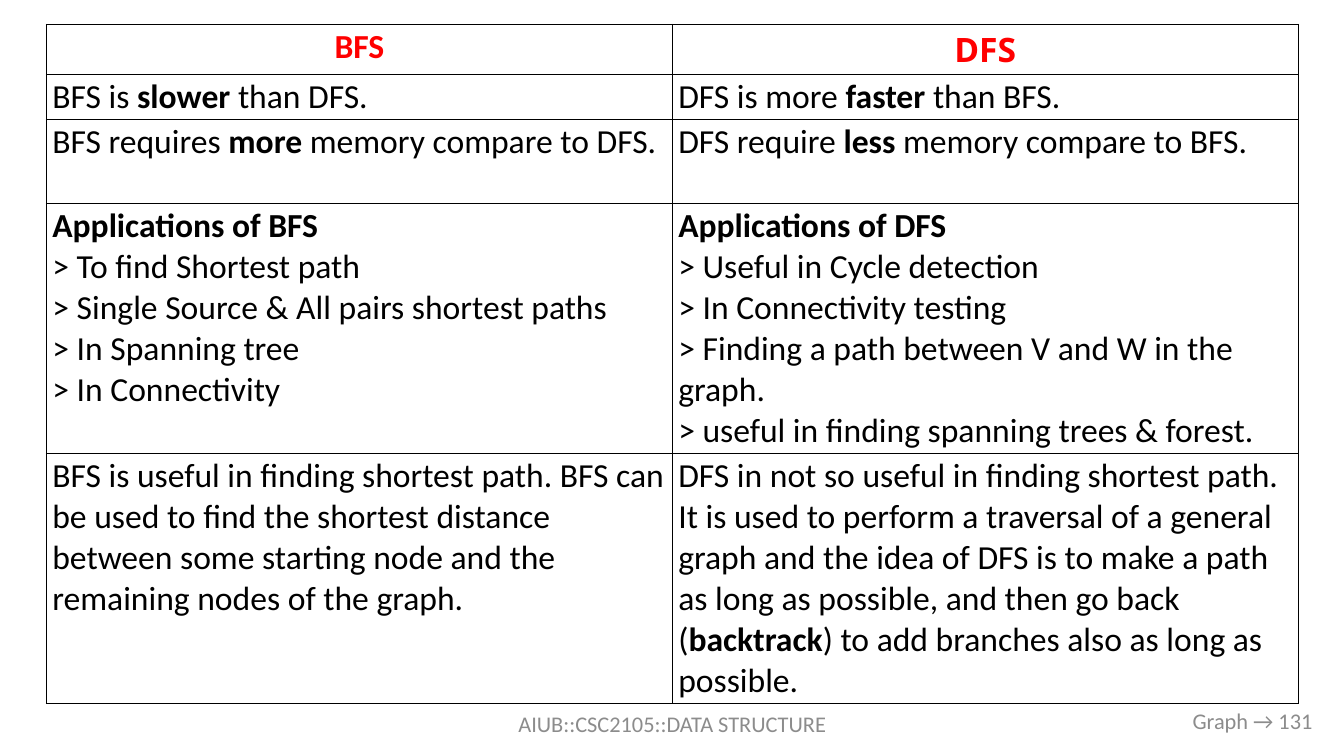
from lxml import etree
from pptx import Presentation
from pptx.dml.color import RGBColor
from pptx.enum.text import MSO_ANCHOR, PP_ALIGN
from pptx.oxml.ns import qn
from pptx.util import Pt

CENTER, RIGHT = PP_ALIGN.CENTER, PP_ALIGN.RIGHT
TOP, MIDDLE = MSO_ANCHOR.TOP, MSO_ANCHOR.MIDDLE
COLORS = {"head": "FF0000", "text": "000000", "foot": "8C8C8C",
          "line": "000000", "cell": "FFFFFF"}

# Words between asterisks are bold; each line is a paragraph.
ROWS = [
    (34.2, "*BFS*", "*DFS*"),
    (32.2, "BFS is *slower* than DFS.", "DFS is more *faster* than BFS."),
    (60, "BFS requires *more* memory compare to DFS.",
     "DFS require *less* memory compare to BFS."),
    (178.2,
     "*Applications of BFS*\n> To find Shortest path\n"
     "> Single Source & All pairs shortest paths\n"
     "> In Spanning tree\n> In Connectivity",
     "*Applications of DFS*\n> Useful in Cycle detection\n"
     "> In Connectivity testing\n"
     "> Finding a path between V and W in the graph.\n"
     "> useful in finding spanning trees & forest."),
    (178.6,
     "BFS is useful in finding shortest path. BFS can be used to find the "
     "shortest distance between some starting node and the remaining nodes "
     "of the graph.",
     "DFS in not so useful in finding shortest path. It is used to perform a "
     "traversal of a general graph and the idea of DFS is to make a path as "
     "long as possible, and then go back (*backtrack*) to add branches also "
     "as long as possible."),
]
FOOTERS = [
    ("AIUB::CSC2105::DATA STRUCTURE", 318.24, 502.56, 324, CENTER),
    ("Graph → 131", 728.64, 500.4, 216, RIGHT),
]


def write(frame, text, size, color, align=None, face="Calibri"):
    """Fill a text frame, one paragraph a line, with *bold* marks."""
    for i, line in enumerate(text.split("\n")):
        para = frame.paragraphs[0] if i == 0 else frame.add_paragraph()
        para.alignment = align
        para.font.name = face
        para.font.size = Pt(size)
        para.font.color.rgb = RGBColor.from_string(COLORS[color])
        for j, part in enumerate(line.split("*")):
            if part:
                run = para.add_run()
                run.text = part
                run.font.bold = j % 2 == 1


def border(cell):
    props = cell._tc.get_or_add_tcPr()
    for i, side in enumerate(("a:lnL", "a:lnR", "a:lnT", "a:lnB")):
        line = etree.Element(qn(side), w=str(Pt(1)))
        fill = etree.SubElement(line, qn("a:solidFill"))
        etree.SubElement(fill, qn("a:srgbClr"), val=COLORS["line"])
        props.insert(i, line)


deck = Presentation()
deck.slide_width, deck.slide_height = Pt(960), Pt(540)
slide = deck.slides.add_slide(deck.slide_layouts[6])

total = sum(row[0] for row in ROWS)
table = slide.shapes.add_table(
    len(ROWS), 2, Pt(33.12), Pt(17.5), Pt(894.24), Pt(total)).table
table.first_row = table.horz_banding = False
for col in table.columns:
    col.width = Pt(447.12)

for r, (height, *texts) in enumerate(ROWS):
    table.rows[r].height = Pt(height)
    for c, text in enumerate(texts):
        cell = table.cell(r, c)
        cell.margin_left = cell.margin_right = Pt(4.32)
        cell.margin_top = cell.margin_bottom = Pt(1.44)
        cell.vertical_anchor = TOP
        cell.fill.solid()
        cell.fill.fore_color.rgb = RGBColor.from_string(COLORS["cell"])
        border(cell)
        if r == 0:
            face = ("Calibri", "Open Sans")[c]
            write(cell.text_frame, text, 24, "head", CENTER, face)
        else:
            write(cell.text_frame, text, 24, "text")

for text, left, top, width, align in FOOTERS:
    box = slide.shapes.add_textbox(Pt(left), Pt(top), Pt(width), Pt(28.8))
    frame = box.text_frame
    frame.word_wrap = True
    frame.vertical_anchor = MIDDLE
    write(frame, text, 16, "foot", align)

deck.save("out.pptx")
